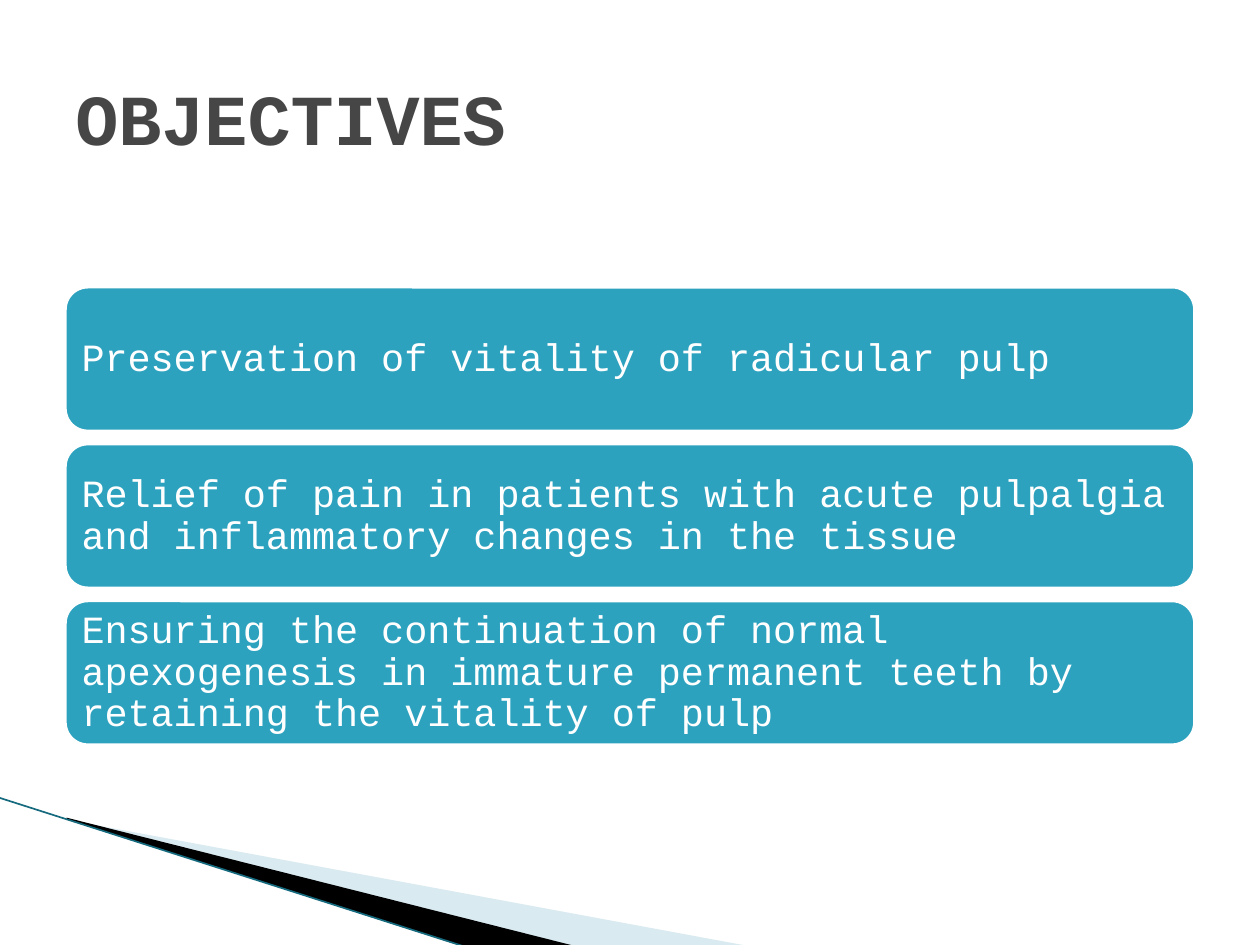
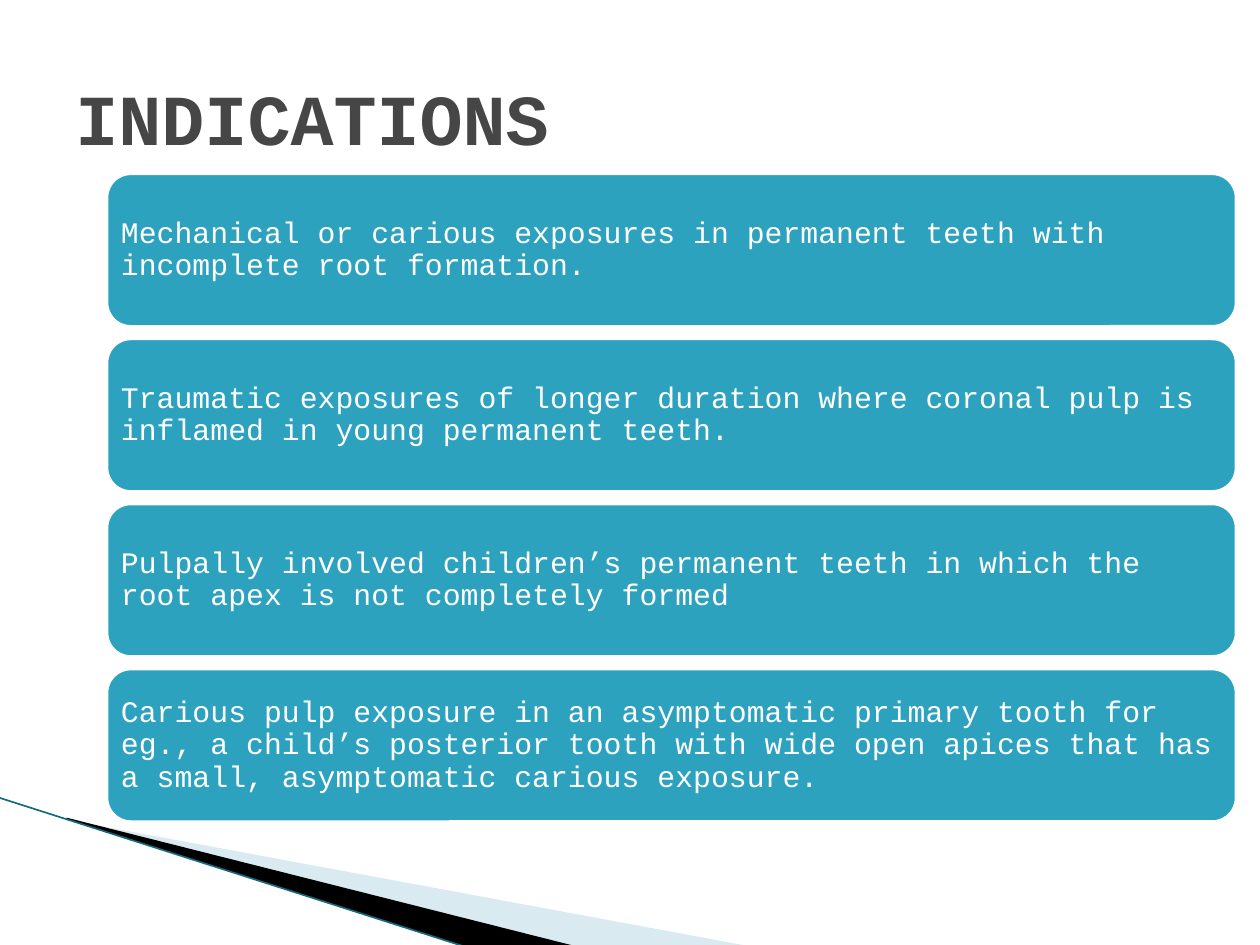
from lxml import etree
from pptx import Presentation
from pptx.dml.color import RGBColor
from pptx.enum.shapes import MSO_CONNECTOR, MSO_SHAPE
from pptx.enum.text import MSO_ANCHOR, PP_ALIGN
from pptx.oxml.ns import qn
from pptx.util import Inches, Pt

# Content: card positions in inches, text sizes in points
SLIDES = [
    {
        "title": "OBJECTIVES",
        "left": 0.5, "first_top": 2.26, "last_top": 4.75, "height": 1.18,
        "inset": 0.09, "size": 22,
        "cards": [
            "Preservation of vitality of radicular pulp",
            "Relief of pain in patients with acute pulpalgia and inflammatory "
            "changes in the tissue",
            "Ensuring the continuation of normal apexogenesis in immature "
            "permanent teeth by retaining the vitality of pulp",
        ],
    },
    {
        "title": "INDICATIONS",
        "left": 0.83, "first_top": 1.36, "last_top": 5.29, "height": 1.25,
        "inset": 0.07, "size": 17,
        "cards": [
            "Mechanical or carious exposures in permanent teeth with "
            "incomplete root formation.",
            "Traumatic exposures of longer duration where coronal pulp is "
            "inflamed in young permanent teeth.",
            "Pulpally involved children’s permanent teeth in which the root "
            "apex is not completely formed",
            "Carious pulp exposure in an asymptomatic primary tooth for eg., "
            "a child’s posterior tooth with wide open apices that has a "
            "small, asymptomatic carious exposure.",
        ],
    },
]

# Shared style
FONT = "Courier New"
TITLE_GREY = RGBColor(0x46, 0x46, 0x46)
TEAL = RGBColor(0x2D, 0xA2, 0xBF)
DARK_TEAL = RGBColor(0x16, 0x6A, 0x7E)
PALE_BLUE = RGBColor(0xA0, 0xCB, 0xDC)
BLACK = RGBColor(0, 0, 0)
WHITE = RGBColor(0xFF, 0xFF, 0xFF)
CARD_WIDTH = 9

# Corner wedges: outline, colour, opacity in percent
WEDGES = [
    ([(0.55, 6.51), (5.95, 7.51), (4.56, 7.51), (0.55, 6.5)], PALE_BLUE, 40),
    ([(0.53, 6.49), (4.57, 7.51), (3.7, 7.52), (0.53, 6.5)], BLACK, 100),
]
EDGE = (-0.01, 6.33, 3.71, 7.52)


def style_text(frame, text, size, color, bold=False):
    frame.word_wrap = True
    frame.vertical_anchor = MSO_ANCHOR.MIDDLE
    paragraph = frame.paragraphs[0]
    paragraph.text = text
    paragraph.alignment = PP_ALIGN.LEFT
    font = paragraph.font
    font.name, font.size, font.bold = FONT, Pt(size), bold
    font.color.rgb = color
    return paragraph


def add_corner(slide):
    for points, color, opacity in WEDGES:
        start, *rest = [(Inches(x), Inches(y)) for x, y in points]
        builder = slide.shapes.build_freeform(*start)
        builder.add_line_segments(rest, close=True)
        wedge = builder.convert_to_shape()
        wedge.shadow.inherit = False
        wedge.line.fill.background()
        wedge.fill.solid()
        wedge.fill.fore_color.rgb = color
        if opacity < 100:
            rgb = wedge.fill._xPr.find(".//" + qn("a:srgbClr"))
            etree.SubElement(rgb, qn("a:alpha"), val=str(opacity * 1000))
    edge = slide.shapes.add_connector(MSO_CONNECTOR.STRAIGHT, *map(Inches, EDGE))
    edge.line.color.rgb = DARK_TEAL
    edge.line.width = Pt(0.95)
    etree.SubElement(edge._element.spPr, qn("a:effectLst"))


def add_title(slide, title):
    box = slide.shapes.add_textbox(Inches(0.5), Inches(0.3), Inches(9), Inches(1.25))
    style_text(box.text_frame, title, 41, TITLE_GREY, bold=True)


def add_cards(slide, content):
    cards = content["cards"]
    pitch = (content["last_top"] - content["first_top"]) / (len(cards) - 1)
    for row, text in enumerate(cards):
        card = slide.shapes.add_shape(
            MSO_SHAPE.ROUNDED_RECTANGLE,
            Inches(content["left"]), Inches(content["first_top"] + row * pitch),
            Inches(CARD_WIDTH), Inches(content["height"]))
        card.shadow.inherit = False
        card.fill.solid()
        card.fill.fore_color.rgb = TEAL
        card.line.color.rgb = WHITE
        card.line.width = Pt(4.33)
        frame = card.text_frame
        frame.margin_left = frame.margin_right = Inches(content["inset"])
        frame.margin_top = frame.margin_bottom = 0
        style_text(frame, text, content["size"], WHITE).line_spacing = 0.9


def main():
    deck = Presentation()
    deck.slide_width, deck.slide_height = Inches(10), Inches(7.5)
    blank = deck.slide_layouts[6]
    for content in SLIDES:
        slide = deck.slides.add_slide(blank)
        add_corner(slide)
        add_cards(slide, content)
        add_title(slide, content["title"])
    deck.save("out.pptx")


if __name__ == "__main__":
    main()
